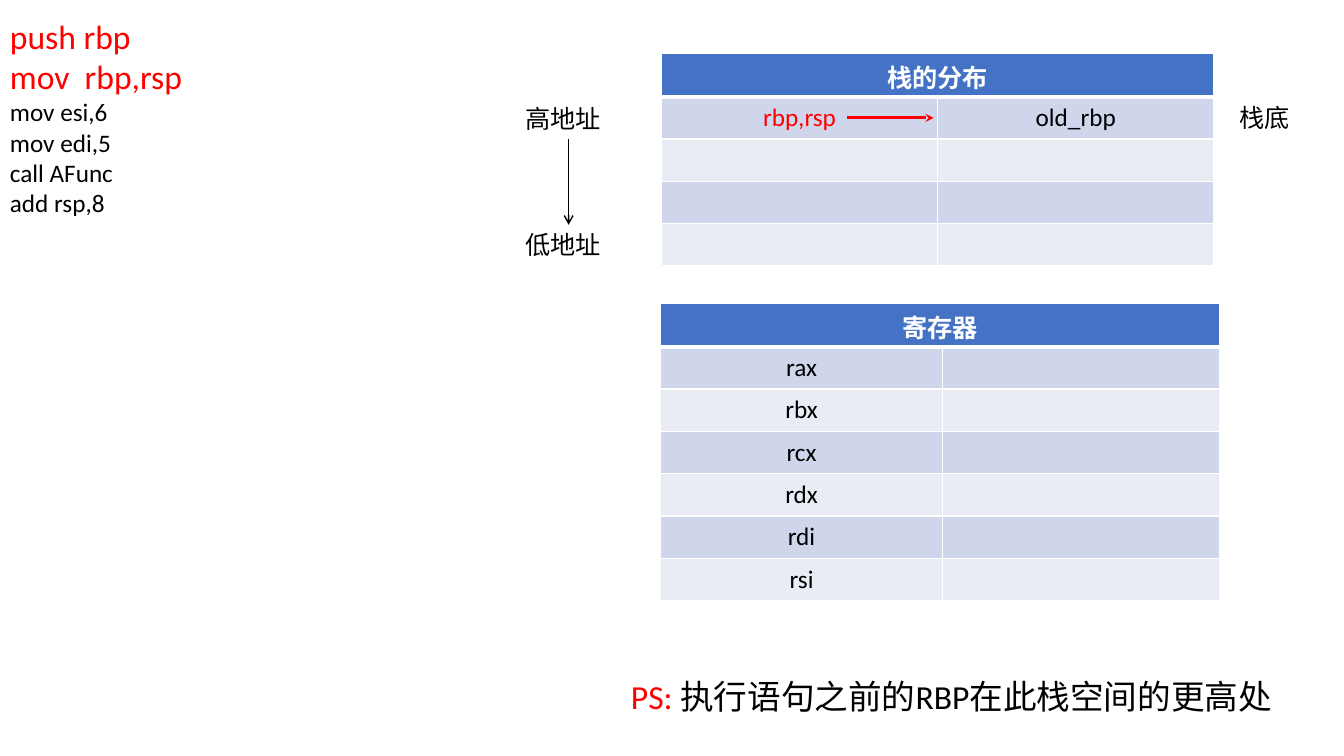
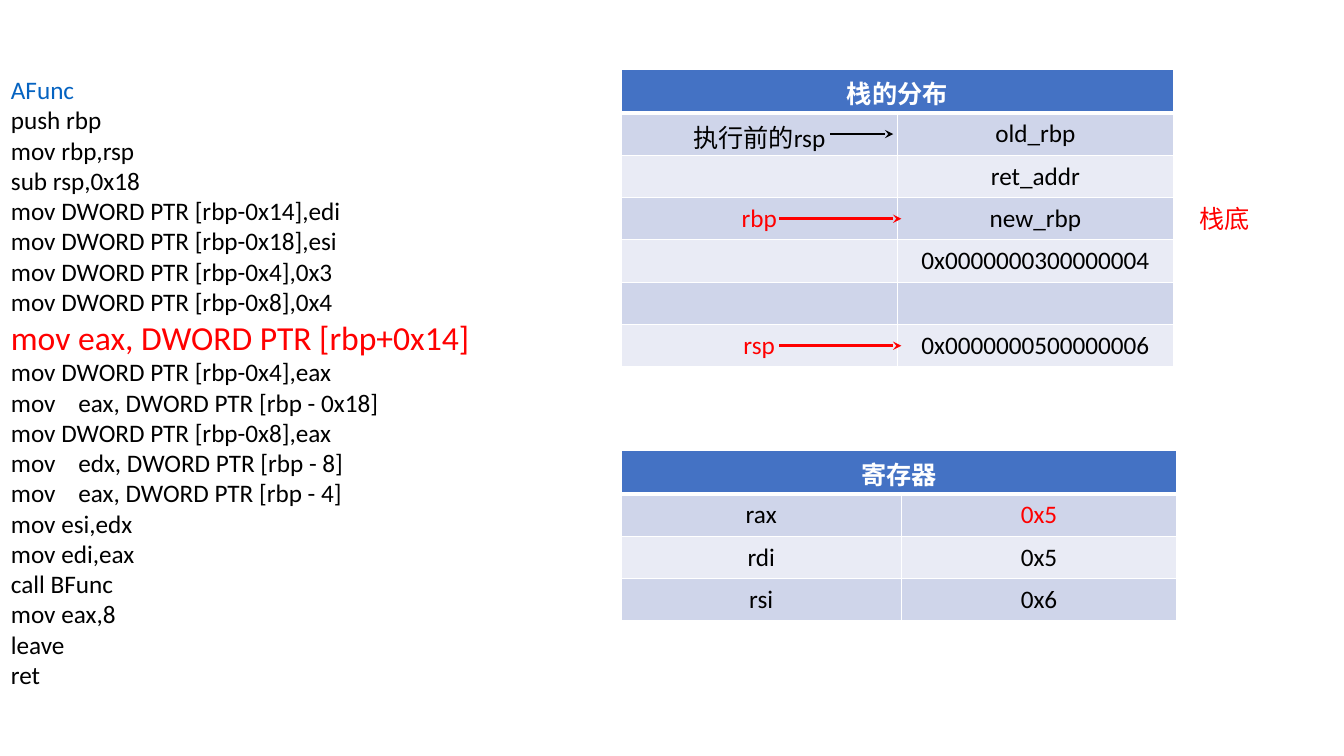
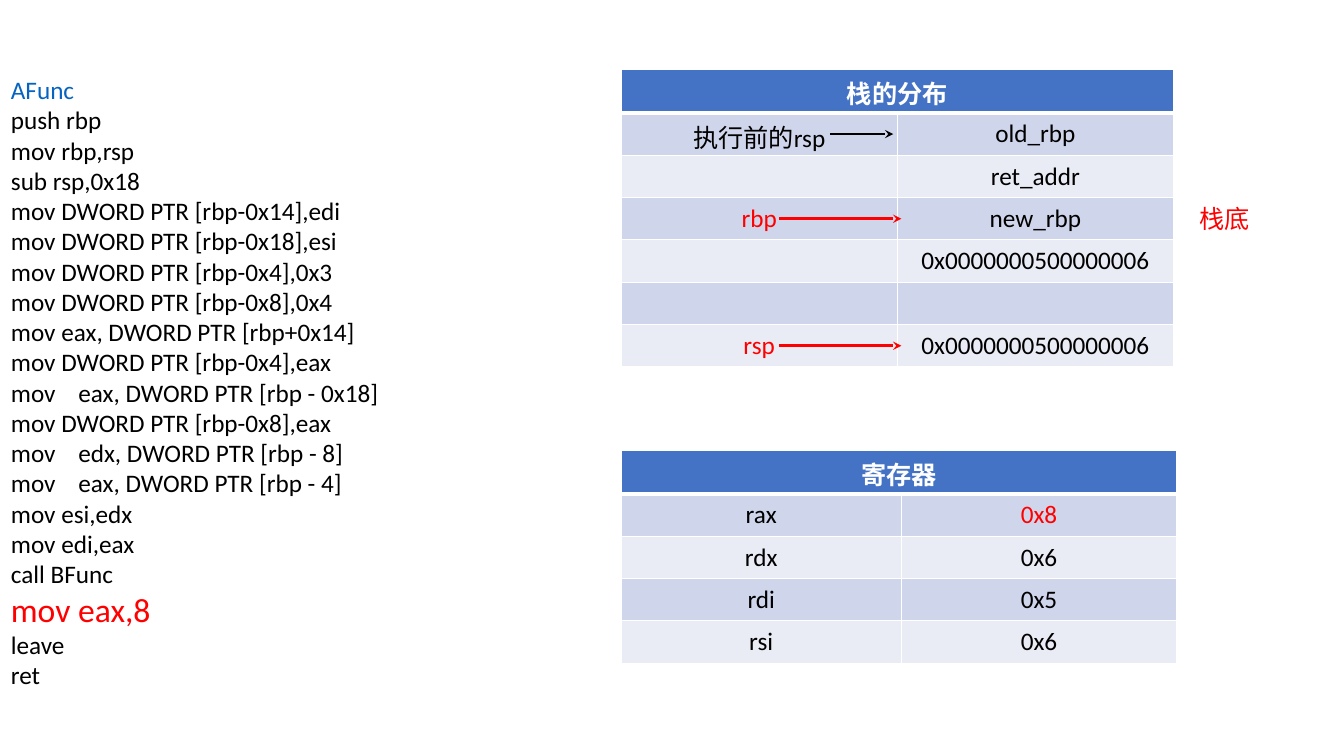
"""Build three slides that trace the stack and registers of a function call."""
from dataclasses import dataclass

from lxml.etree import SubElement
from pptx import Presentation
from pptx.dml.color import RGBColor
from pptx.enum.shapes import MSO_CONNECTOR
from pptx.enum.text import MSO_ANCHOR, PP_ALIGN
from pptx.oxml import parse_xml
from pptx.oxml.ns import nsdecls, qn
from pptx.util import Inches, Pt


@dataclass(frozen=True)
class Theme:
    """Colours, type sizes and measures that all slides share."""
    font: str = "Calibri"
    body: int = 18
    big: int = 24
    black: str = "000000"
    white: str = "FFFFFF"
    red: str = "FF0000"
    link: str = "0563C1"
    head: str = "4472C4"
    bands: tuple = ("E9EBF5", "CFD5EA")
    row: float = 0.42
    top: float = 0.43
    label: float = 0.4


T = Theme()

START = ["push rbp", "mov  rbp,rsp", "mov esi,6", "mov edi,5", "call AFunc", "add rsp,8"]
AFUNC = [
    "AFunc", "push rbp", "mov rbp,rsp", "sub rsp,0x18",
    "mov DWORD PTR [rbp-0x14],edi", "mov DWORD PTR [rbp-0x18],esi",
    "mov DWORD PTR [rbp-0x4],0x3", "mov DWORD PTR [rbp-0x8],0x4",
    "mov eax, DWORD PTR [rbp+0x14]", "mov DWORD PTR [rbp-0x4],eax",
    "mov    eax, DWORD PTR [rbp - 0x18]", "mov DWORD PTR [rbp-0x8],eax",
    "mov    edx, DWORD PTR [rbp - 8]", "mov    eax, DWORD PTR [rbp - 4]",
    "mov esi,edx", "mov edi,eax", "call BFunc", "mov eax,8", "leave", "ret",
]


def frame(local):
    """Return the stack rows inside AFunc for one value of its locals."""
    return [("执行前的rsp", "old_rbp"), ("", "ret_addr"), ("rbp", "new_rbp"),
            ("", local), ("", ""), ("rsp", "0x0000000500000006")]


INNER = {
    "code": AFUNC, "box": (0.01, 0.69, 5.02, 6.81),
    "at": (6.16, 0.69), "marks": {(3, 0), (6, 0)},
    "arrows": [(6, 7.73, 8.94, T.red), (3, 7.73, 8.94, T.red), (1, 8.23, 8.86, T.black)],
    "base": (3, 11.8, T.red),
    "regat": (6.16, 4.47), "regcols": (2.78, 2.73), "regmarks": {(1, 1)},
}
SLIDES = [
    {
        "code": START, "box": (0, 0.11, 5.02, 7.39), "hot": {0, 1},
        "at": (6.56, 0.53), "marks": {(1, 0)},
        "stack": [("rbp,rsp", "old_rbp")] + [("", "")] * 3,
        "arrows": [(1, 8.4, 9.26, T.red)], "base": (1, 12.19, T.black),
        "regat": (6.55, 3.01), "regcols": (2.8, 2.75), "regmarks": set(),
        "regs": [(name, "") for name in ("rax", "rbx", "rcx", "rdx", "rdi", "rsi")],
        "ends": [("高地址", 0.98), ("低地址", 2.23)],
        "note": [("PS: ", T.red), ("执行语句之前的RBP在此栈空间的更高处", T.black)],
    },
    INNER | {
        "hot": {8}, "stack": frame("0x0000000300000004"),
        "regs": [("rax", "0x5"), ("rdi", "0x5"), ("rsi", "0x6")],
    },
    INNER | {
        "hot": {17}, "stack": frame("0x0000000500000006"),
        "regs": [("rax", "0x8"), ("rdx", "0x6"), ("rdi", "0x5"), ("rsi", "0x6")],
    },
]


def style(run, color=T.black, size=T.body, bold=False):
    """Format one run."""
    font = run.font
    font.name, font.size, font.bold = T.font, Pt(size), bold
    font.color.rgb = RGBColor.from_string(color)


def write(slide, box, lines):
    """Add a text box; each line is a list of (text, colour, size) runs."""
    shape = slide.shapes.add_textbox(*map(Inches, box))
    text = shape.text_frame
    text.word_wrap = True
    for i, line in enumerate(lines):
        para = text.add_paragraph() if i else text.paragraphs[0]
        for words, color, size in line:
            run = para.add_run()
            run.text = words
            style(run, color, size)
    return shape


def arrow(slide, ends, color, width, tip):
    """Add a straight arrow from (x, y) to (x, y)."""
    line = slide.shapes.add_connector(MSO_CONNECTOR.STRAIGHT, *map(Inches, ends))
    line.line.color.rgb = RGBColor.from_string(color)
    line.line.width = Pt(width)
    SubElement(line.line._get_or_add_ln(), qn("a:tailEnd"), type=tip)
    SubElement(line._element.spPr, qn("a:effectLst"))
    return line


def edge(cell, heavy):
    """Give a cell white borders, with a heavy lower one in the heading."""
    props = cell._tc.get_or_add_tcPr()
    for i, side in enumerate("LRTB"):
        width = Pt(3 if heavy and side == "B" else 1)
        props.insert(i, parse_xml(
            f'<a:ln{side} {nsdecls("a")} w="{width}"><a:solidFill>'
            f'<a:srgbClr val="{T.white}"/></a:solidFill></a:ln{side}>'))


def grid(slide, at, cols, title, rows, marks):
    """Add a banded two-column table under a merged heading."""
    cells = [(title, "")] + rows
    high = T.top + T.row * len(rows)
    table = slide.shapes.add_table(
        len(cells), len(cols), *map(Inches, (*at, sum(cols), high))).table
    for col, width in zip(table.columns, cols):
        col.width = Inches(width)
    for r, words in enumerate(cells):
        table.rows[r].height = Inches(T.row if r else T.top)
        for c, word in enumerate(words):
            cell = table.cell(r, c)
            cell.fill.solid()
            cell.fill.fore_color.rgb = RGBColor.from_string(T.bands[r % 2] if r else T.head)
            edge(cell, r == 0)
            cell.vertical_anchor = MSO_ANCHOR.MIDDLE
            para = cell.text_frame.paragraphs[0]
            para.alignment = PP_ALIGN.CENTER
            if word:
                para.text = word
                color = T.red if (r, c) in marks else T.black
                style(para.runs[0], color if r else T.white, bold=r == 0)
    table.cell(0, 0).merge(table.cell(0, 1))


def build(slide, data):
    """Draw one step of the trace."""
    lines = []
    for i, words in enumerate(data["code"]):
        hot = i in data["hot"]
        color = T.red if hot else T.link if words == "AFunc" else T.black
        lines.append([(words, color, T.big if hot else T.body)])
    write(slide, data["box"], lines)

    grid(slide, data["at"], (2.74, 2.74), "栈的分布", data["stack"], data["marks"])
    grid(slide, data["regat"], data["regcols"], "寄存器", data["regs"], data["regmarks"])

    def mid(row):
        return data["at"][1] + T.top + T.row * (row - 0.5)

    for row, x, end, color in data["arrows"]:
        arrow(slide, (x, mid(row), end, mid(row)), color, 2, "stealth")
    row, x, color = data["base"]
    write(slide, (x, mid(row) - T.label / 2, 0.71, T.label), [[("栈底", color, T.body)]])

    if "ends" in data:
        high, low = [write(slide, (5.11, y, 1.06, T.label), [[(words, T.black, T.body)]])
                     for words, y in data["ends"]]
        link = arrow(slide, (5.64, 1.38, 5.64, 2.23), T.black, 1, "arrow")
        link.begin_connect(high, 2)
        link.end_connect(low, 0)
    if "note" in data:
        write(slide, (6.16, 6.66, 6.57, 0.91),
              [[(words, color, T.big) for words, color in data["note"]]])


def main():
    """Build and save the deck."""
    deck = Presentation()
    deck.slide_width, deck.slide_height = Inches(13.33), Inches(7.5)
    for data in SLIDES:
        build(deck.slides.add_slide(deck.slide_layouts[6]), data)
    deck.save("out.pptx")


if __name__ == "__main__":
    main()
